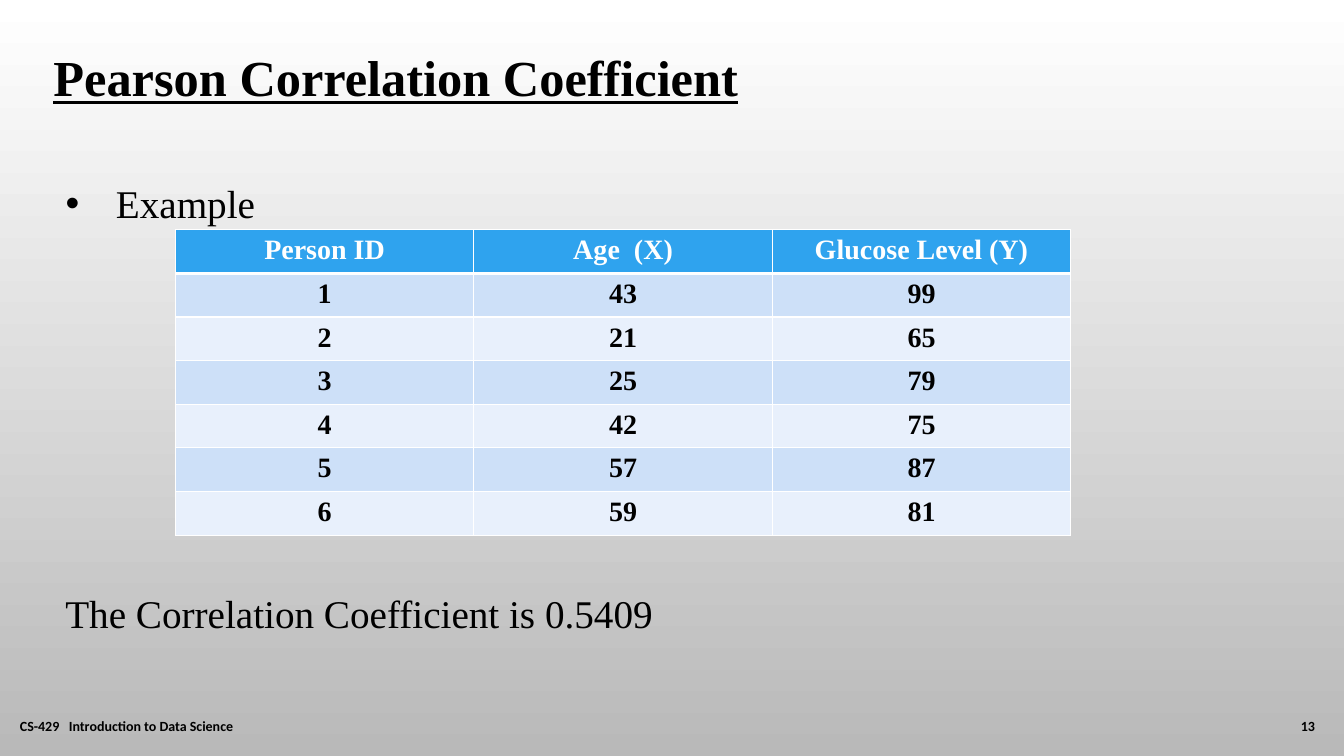
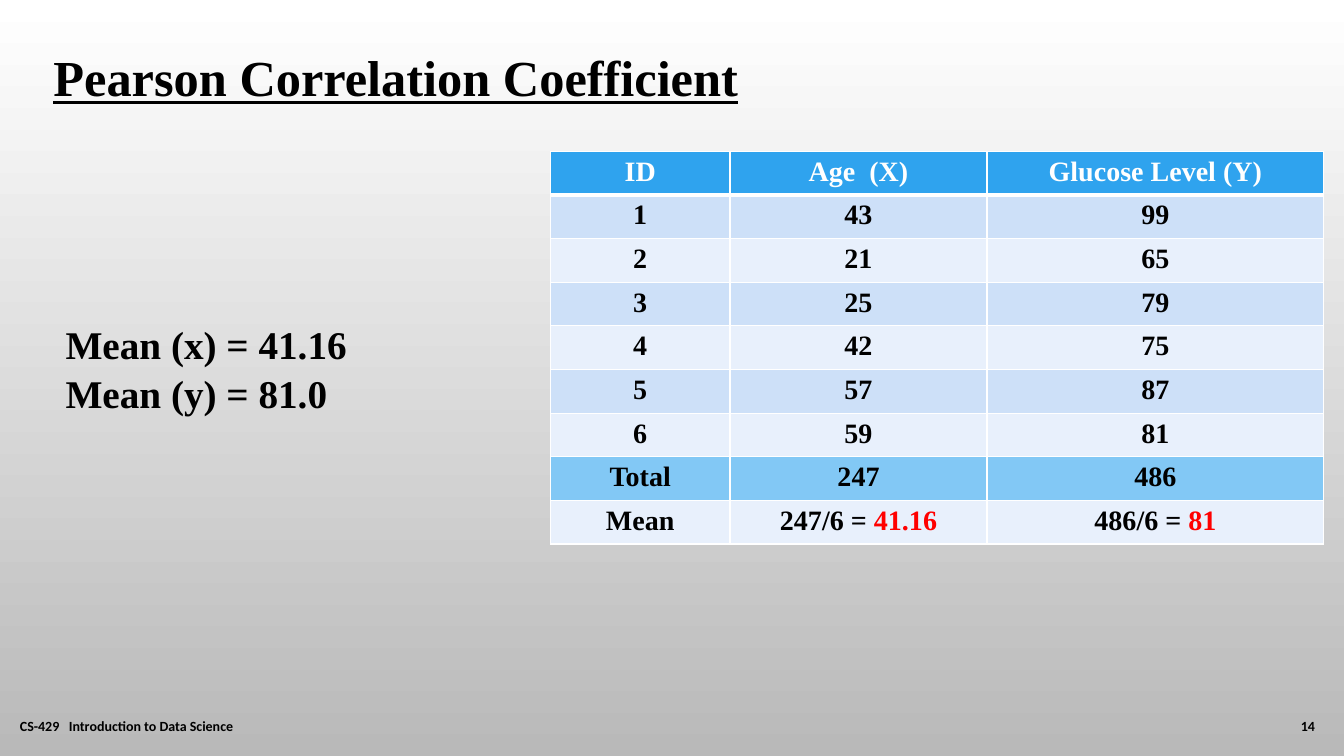
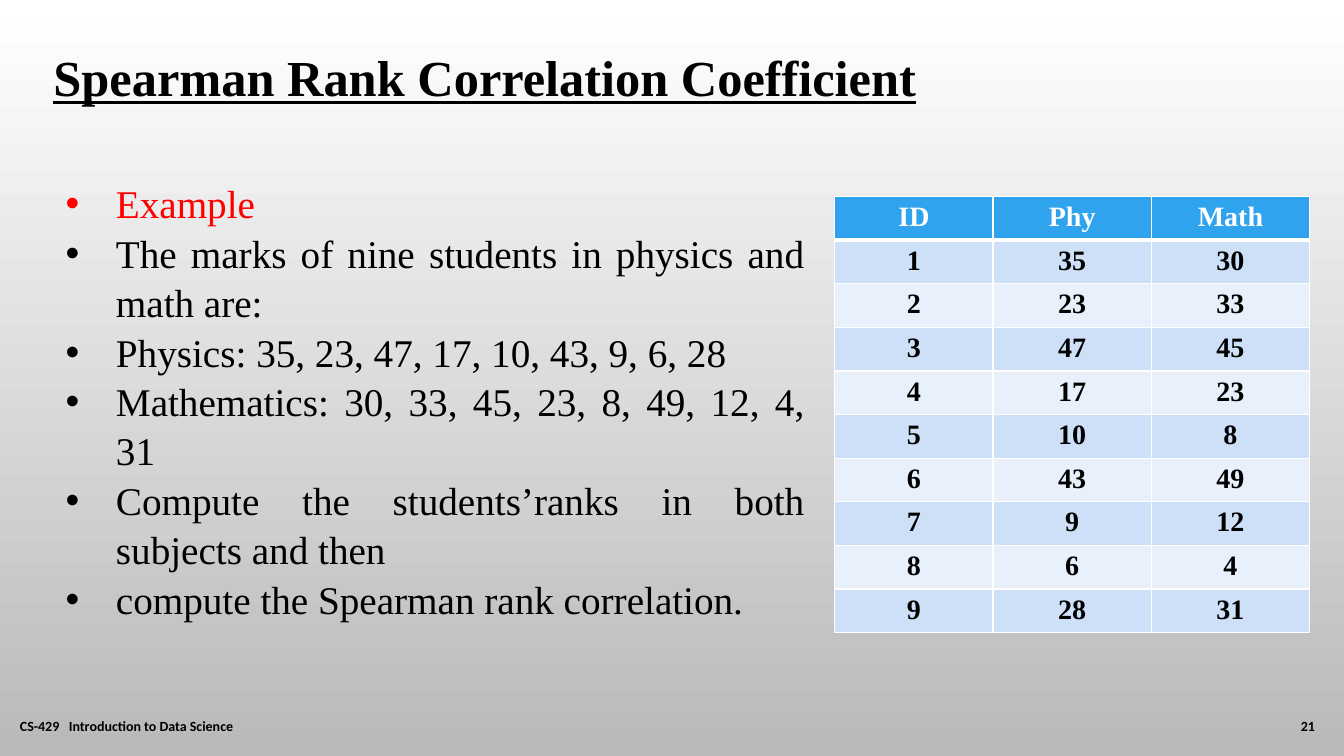
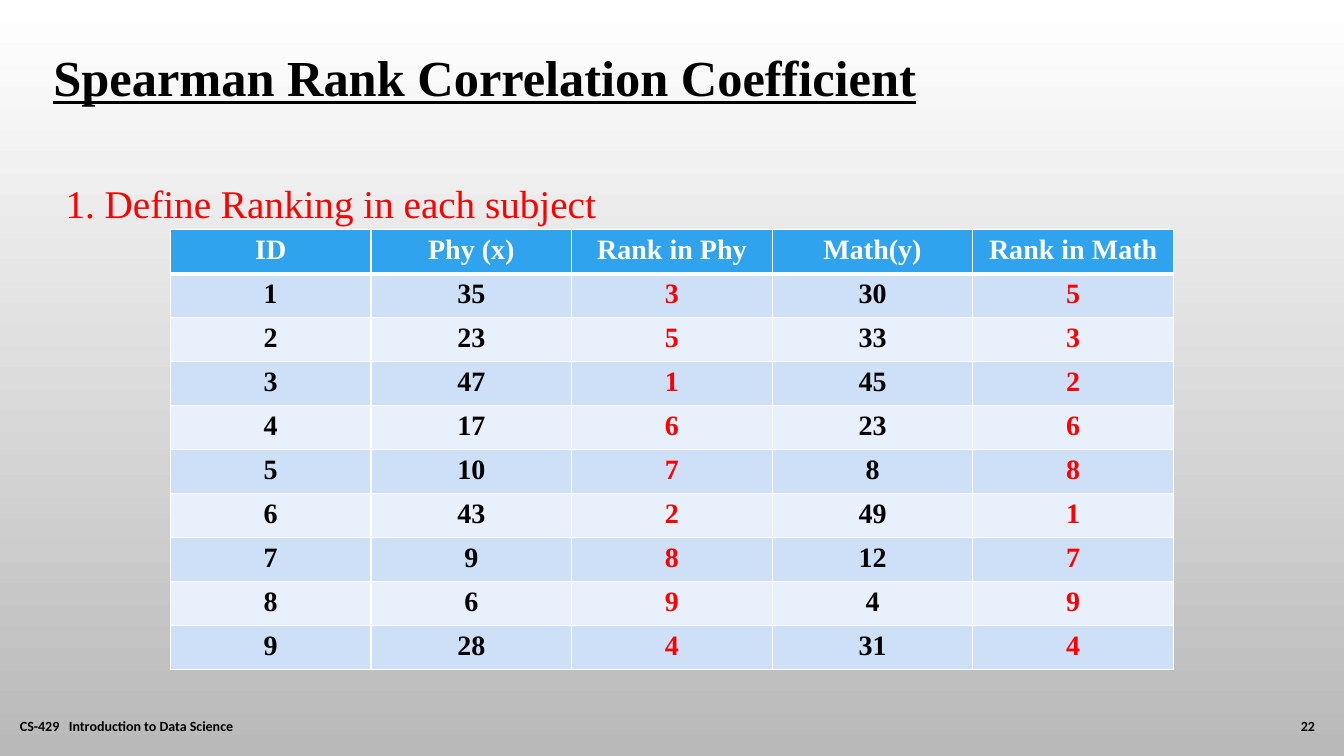
import dataclasses

import lxml.etree
import pptx
import pptx.dml.color
import pptx.enum.text
import pptx.oxml.ns
import pptx.util

Inches = pptx.util.Inches
Pt = pptx.util.Pt
ALIGN = pptx.enum.text.PP_ALIGN
ANCHOR = pptx.enum.text.MSO_ANCHOR
qn = pptx.oxml.ns.qn


@dataclasses.dataclass(frozen=True)
class Theme:
    serif: str = "Times New Roman"
    sans: str = "Calibri"
    black: str = "000000"
    white: str = "FFFFFF"
    red: str = "FF0000"
    grey: str = "B9B9B9"
    header: str = "2FA3EE"
    total: str = "82C8F5"
    bands: tuple = ("E8F0FC", "CDE0F8")
    title_size: int = 36
    body_size: int = 28
    table_size: int = 20
    footer_size: int = 10
    line_spacing: float = 1.05


T = Theme()
rgb = pptx.dml.color.RGBColor.from_string


def add_run(p, text, size, color=T.black, bold=False, font=T.serif):
    r = p.add_run()
    r.text = text
    r.font.name = font
    r.font.size = Pt(size)
    r.font.bold = bold
    r.font.color.rgb = rgb(color)
    return r


def set_border(cell, side, width):
    ln = lxml.etree.SubElement(cell._tc.get_or_add_tcPr(), qn(f"a:ln{side}"), w=str(Pt(width)))
    fill = lxml.etree.SubElement(ln, qn("a:solidFill"))
    lxml.etree.SubElement(fill, qn("a:srgbClr"), val=T.white)


# Data: a cell is text, or a list of (text, colour) runs
ages = [43, 21, 25, 42, 57, 59]
glucose = [99, 65, 79, 75, 87, 81]
physics = [35, 23, 47, 17, 10, 43, 9, 6, 28]
maths = [30, 33, 45, 23, 8, 49, 12, 4, 31]
people = list(zip(range(1, 7), ages, glucose))
students = list(zip(range(1, 10), physics, maths))
ranked = [
    (i, x, [(sorted(physics, reverse=True).index(x) + 1, T.red)],
     y, [(sorted(maths, reverse=True).index(y) + 1, T.red)])
    for i, x, y in students
]
mean_row = ("Mean", [("247/6 = ", T.black), ("41.16", T.red)],
            [("486/6 = ", T.black), ("81", T.red)])

pearson = "Pearson Correlation Coefficient"
spearman = "Spearman Rank Correlation Coefficient"

# Each body line is (text, colour)
slides = [
    dict(number=13, title=pearson, body_at=(0.55, 1.71, 12.23, 0.57), bullets=True,
         body=[("Example", T.black)],
         result="The Correlation Coefficient is 0.5409",
         table_at=(1.74, 2.28, 8.89, 3.03), cols=[2.96] * 3,
         rows=[("Person ID", "Age  (X)", "Glucose Level (Y)"), *people]),
    dict(number=14, title=pearson, body_at=(0.55, 3.1, 6.97, 1.51), bold=True,
         body=[("Mean (x) = 41.16", T.black), ("Mean (y) = 81.0", T.black)],
         table_at=(5.46, 1.5, 7.67, 3.9), cols=[1.78, 2.55, 3.34],
         rows=[("ID", "Age  (X)", "Glucose Level (Y)"), *people,
               ("Total", sum(ages), sum(glucose)), mean_row]),
    dict(number=21, title=spearman, body_at=(0.55, 1.71, 7.53, 4.34), bullets=True,
         body=[("Example", T.red),
               ("The marks of nine students in physics and math are:", T.black),
               ("Physics: 35, 23, 47, 17, 10, 43, 9, 6, 28", T.black),
               ("Mathematics: 30, 33, 45, 23, 8, 49, 12, 4, 31", T.black),
               ("Compute the students’ranks in both subjects and then", T.black),
               ("compute the Spearman rank correlation.", T.black)],
         table_at=(8.28, 1.95, 4.72, 4.33), cols=[1.57] * 3,
         rows=[("ID", "Phy", "Math"), *students]),
    dict(number=22, title=spearman, body_at=(0.55, 1.71, 7.53, 0.57),
         body=[("1. Define Ranking in each subject", T.red)],
         table_at=(1.69, 2.28, 9.96, 4.36), cols=[1.99] * 5,
         rows=[("ID", "Phy (x)", "Rank in Phy", "Math(y)", "Rank in Math"), *ranked]),
]

prs = pptx.Presentation()
prs.slide_width = Inches(13.33)
prs.slide_height = Inches(7.5)

# Shared background and title place
bg = prs.slide_master.background.fill
bg.gradient()
bg.gradient_angle = 270
for stop, color, position in zip(bg.gradient_stops, (T.white, T.grey), (0, 1)):
    stop.color.rgb = rgb(color)
    stop.position = position

layout = prs.slide_layouts.get_by_name("Title and Content")
sp = layout.placeholders[0]
sp.left, sp.top, sp.width, sp.height = map(Inches, (0.43, 0.38, 12.23, 0.71))
sp.text_frame.vertical_anchor = ANCHOR.TOP

for item in slides:
    s = prs.slides.add_slide(layout)

    # Title
    tf = s.shapes.title.text_frame
    tf.auto_size = pptx.enum.text.MSO_AUTO_SIZE.NONE
    p = tf.paragraphs[0]
    p.alignment = ALIGN.LEFT
    p.line_spacing = T.line_spacing
    add_run(p, item["title"], T.title_size, bold=True).font.underline = True

    # Body
    sp = s.placeholders[1]
    sp.left, sp.top, sp.width, sp.height = map(Inches, item["body_at"])
    tf = sp.text_frame
    tf.auto_size = pptx.enum.text.MSO_AUTO_SIZE.NONE
    for i, (text, color) in enumerate(item["body"]):
        p = tf.add_paragraph() if i else tf.paragraphs[0]
        p.alignment = ALIGN.JUSTIFY
        p.line_spacing = T.line_spacing
        p.space_before = Pt(0)
        pPr = p._p.get_or_add_pPr()
        indent = Inches(0.5) if item.get("bullets") else 0
        pPr.set("marL", str(indent))
        pPr.set("indent", str(-indent))
        if indent:
            lxml.etree.SubElement(pPr, qn("a:buFont"), typeface="Arial")
            lxml.etree.SubElement(pPr, qn("a:buChar"), char="•")
        else:
            lxml.etree.SubElement(pPr, qn("a:buNone"))
        add_run(p, text, T.body_size, color, item.get("bold", False))

    # Table
    rows, cols = item["rows"], item["cols"]
    table = s.shapes.add_table(len(rows), len(cols), *map(Inches, item["table_at"])).table
    for column, width in zip(table.columns, cols):
        column.width = Inches(width)
    for i, row in enumerate(rows):
        fill = T.header if i == 0 else T.total if row[0] == "Total" else T.bands[i % 2]
        for j, value in enumerate(row):
            cell = table.cell(i, j)
            for side in "LRTB":
                set_border(cell, side, 3 if (i, side) in ((0, "B"), (1, "T")) else 1)
            cell.fill.solid()
            cell.fill.fore_color.rgb = rgb(fill)
            p = cell.text_frame.paragraphs[0]
            p.alignment = ALIGN.CENTER
            runs = value if isinstance(value, list) else [(value, T.black if i else T.white)]
            for text, color in runs:
                add_run(p, str(text), T.table_size, color, bold=True)

    # Result line
    if "result" in item:
        tf = s.shapes.add_textbox(*map(Inches, (0.55, 5.77, 12.23, 0.57))).text_frame
        tf.word_wrap = True
        p = tf.paragraphs[0]
        p.alignment = ALIGN.JUSTIFY
        p.line_spacing = T.line_spacing
        add_run(p, item["result"], T.body_size)

    # Footer and slide number
    for text, left, width, align in (
        ("CS-429   Introduction to Data Science", 0.1, 7.3, ALIGN.LEFT),
        (str(item["number"]), 12.3, 0.84, ALIGN.RIGHT),
    ):
        tf = s.shapes.add_textbox(*map(Inches, (left, 7, width, 0.4))).text_frame
        tf.word_wrap = True
        tf.vertical_anchor = ANCHOR.MIDDLE
        p = tf.paragraphs[0]
        p.alignment = align
        add_run(p, text, T.footer_size, bold=True, font=T.sans)

prs.save("out.pptx")
